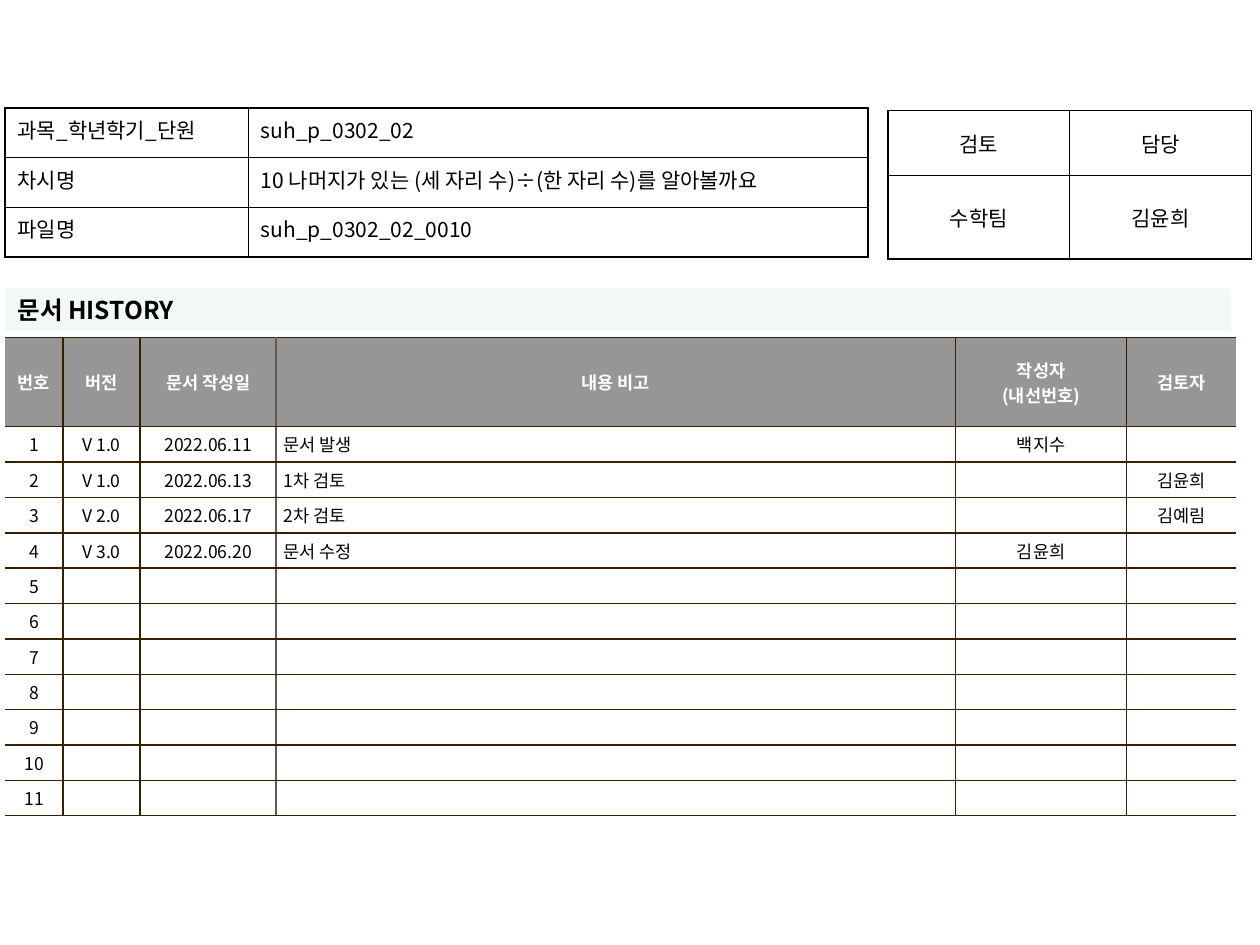
from lxml import etree
from pptx import Presentation
from pptx import util as u
from pptx.dml import color
from pptx.enum import shapes, text
from pptx.oxml import ns

Pt = u.Pt
FONT = "Noto Sans CJK KR"
BLACK, WHITE, GRAY, MINT = "000000", "FFFFFF", "969696", "F1F8F5"
BROWN, TAUPE = "362000", "645B4C"
LEFT, CENTER, JUSTIFY = (
    text.PP_ALIGN.LEFT, text.PP_ALIGN.CENTER, text.PP_ALIGN.JUSTIFY)
TOP, MIDDLE = text.MSO_ANCHOR.TOP, text.MSO_ANCHOR.MIDDLE

HEADERS = ["번호", "버전", "문서 작성일", "내용 비고", "작성자\n(내선번호)", "검토자"]
RECORDS = [
    ["V 1.0", "2022.06.11", "문서 발생", "백지수", ""],
    ["V 1.0", "2022.06.13", "1차 검토", "", "김윤희"],
    ["V 2.0", "2022.06.17", "2차 검토", "", "김예림"],
    ["V 3.0", "2022.06.20", "문서 수정", "김윤희", ""],
]
RECORD_COUNT = 11
INFO = [
    ["과목_학년학기_단원", "suh_p_0302_02"],
    ["차시명", "10 나머지가 있는 (세 자리 수)÷(한 자리 수)를 알아볼까요"],
    ["파일명", "suh_p_0302_02_0010"],
]
REVIEW = [["검토", "담당"], ["수학팀", "김윤희"]]


def rgb(value):
    """Turn a hex string into a colour."""
    return color.RGBColor.from_string(value)


def write(frame, content, size, ink=BLACK, bold=False, align=LEFT):
    """Write each line of the content as a paragraph of the frame."""
    for index, line in enumerate(content.split("\n")):
        para = frame.add_paragraph() if index else frame.paragraphs[0]
        para.alignment = align
        if not line:
            etree.SubElement(para._p, ns.qn("a:endParaRPr"), sz=str(size * 100))
            continue
        span = para.add_run()
        span.text = line
        span.font.size, span.font.bold, span.font.name = Pt(size), bold, FONT
        span.font.color.rgb = rgb(ink)
        etree.SubElement(span._r.get_or_add_rPr(), ns.qn("a:ea"), typeface=FONT)


def set_borders(cell, left, right, top, bottom):
    """Draw the four cell borders; None leaves a side open."""
    sides = [("lnL", left), ("lnR", right), ("lnT", top), ("lnB", bottom)]
    for index, (tag, ink) in enumerate(sides):
        line = etree.Element(ns.qn("a:" + tag), w=str(Pt(1)))
        if ink:
            fill = etree.SubElement(line, ns.qn("a:solidFill"))
            etree.SubElement(fill, ns.qn("a:srgbClr"), val=ink)
        else:
            etree.SubElement(line, ns.qn("a:noFill"))
        cell._tc.get_or_add_tcPr().insert(index, line)


def set_cell(cell, fill, anchor, side, end):
    """Set the fill, anchor and margins of a cell."""
    if fill:
        cell.fill.solid()
        cell.fill.fore_color.rgb = rgb(fill)
    else:
        cell.fill.background()
    cell.vertical_anchor = anchor
    cell.margin_left = cell.margin_right = Pt(side)
    cell.margin_top = cell.margin_bottom = Pt(end)


def add_grid(page, left, top, widths, heights):
    """Add a plain table with the given column widths and row heights."""
    table = page.shapes.add_table(
        len(heights), len(widths), Pt(left), Pt(top),
        Pt(sum(widths)), Pt(sum(heights))).table
    table.first_row = table.horz_banding = False
    for column, width in zip(table.columns, widths):
        column.width = Pt(width)
    for row, height in zip(table.rows, heights):
        row.height = Pt(height)
    return table


def add_history(page, left, top):
    """Add the document history table."""
    widths = [33.1, 44.1, 77.7, 388.3, 97.7, 62.4]
    table = add_grid(page, left, top, widths, [51] + [18] * RECORD_COUNT)
    edges = [None, BROWN, BROWN, TAUPE, BROWN, BROWN, None]
    blank = [""] * (len(HEADERS) - 1)
    rows = [HEADERS]
    for number in range(1, RECORD_COUNT + 1):
        record = RECORDS[number - 1] if number <= len(RECORDS) else blank
        rows.append([str(number)] + record)
    for r, row in enumerate(rows):
        header = r == 0
        for c, content in enumerate(row):
            cell = table.cell(r, c)
            set_cell(cell, GRAY if header else WHITE, MIDDLE, 4.3, 2.9)
            set_borders(cell, edges[c], edges[c + 1], BROWN, BROWN)
            align = LEFT if c == 3 and not header else CENTER
            write(cell.text_frame, content, 10,
                  WHITE if header else BLACK, header, align)


def add_boxed_table(page, left, top, widths, heights, rows, aligns, anchor):
    """Add a table of black-bordered cells without fill."""
    table = add_grid(page, left, top, widths, heights)
    for r, row in enumerate(rows):
        for c, content in enumerate(row):
            cell = table.cell(r, c)
            set_cell(cell, None, anchor, 7.2, 3.6)
            set_borders(cell, BLACK, BLACK, BLACK, BLACK)
            write(cell.text_frame, content, 12, align=aligns[c])


def add_heading(page, left, top, width, height):
    """Add the tinted heading band."""
    band = page.shapes.add_shape(
        shapes.MSO_SHAPE.RECTANGLE, Pt(left), Pt(top), Pt(width), Pt(height))
    band.shadow.inherit = False
    band.fill.solid()
    band.fill.fore_color.rgb = rgb(MINT)
    band.line.fill.background()
    frame = band.text_frame
    frame.word_wrap = True
    frame.vertical_anchor = MIDDLE
    frame.margin_top = frame.margin_bottom = 0
    write(frame, "문서 HISTORY", 14, bold=True)


def main():
    """Build the document history slide."""
    deck = Presentation()
    deck.slide_width, deck.slide_height = Pt(720), Pt(540)
    page = deck.slides.add_slide(deck.slide_layouts[6])
    add_history(page, 2.9, 192.8)
    add_boxed_table(page, 507.5, 63.2, [103.8, 103.8], [37.1, 47.8],
                    REVIEW, [CENTER, CENTER], MIDDLE)
    add_heading(page, 2.9, 165, 700.3, 24.2)
    add_boxed_table(page, 2.9, 61.7, [139, 354.2], [28.4] * 3,
                    INFO, [JUSTIFY, LEFT], TOP)
    deck.save("out.pptx")


if __name__ == "__main__":
    main()
